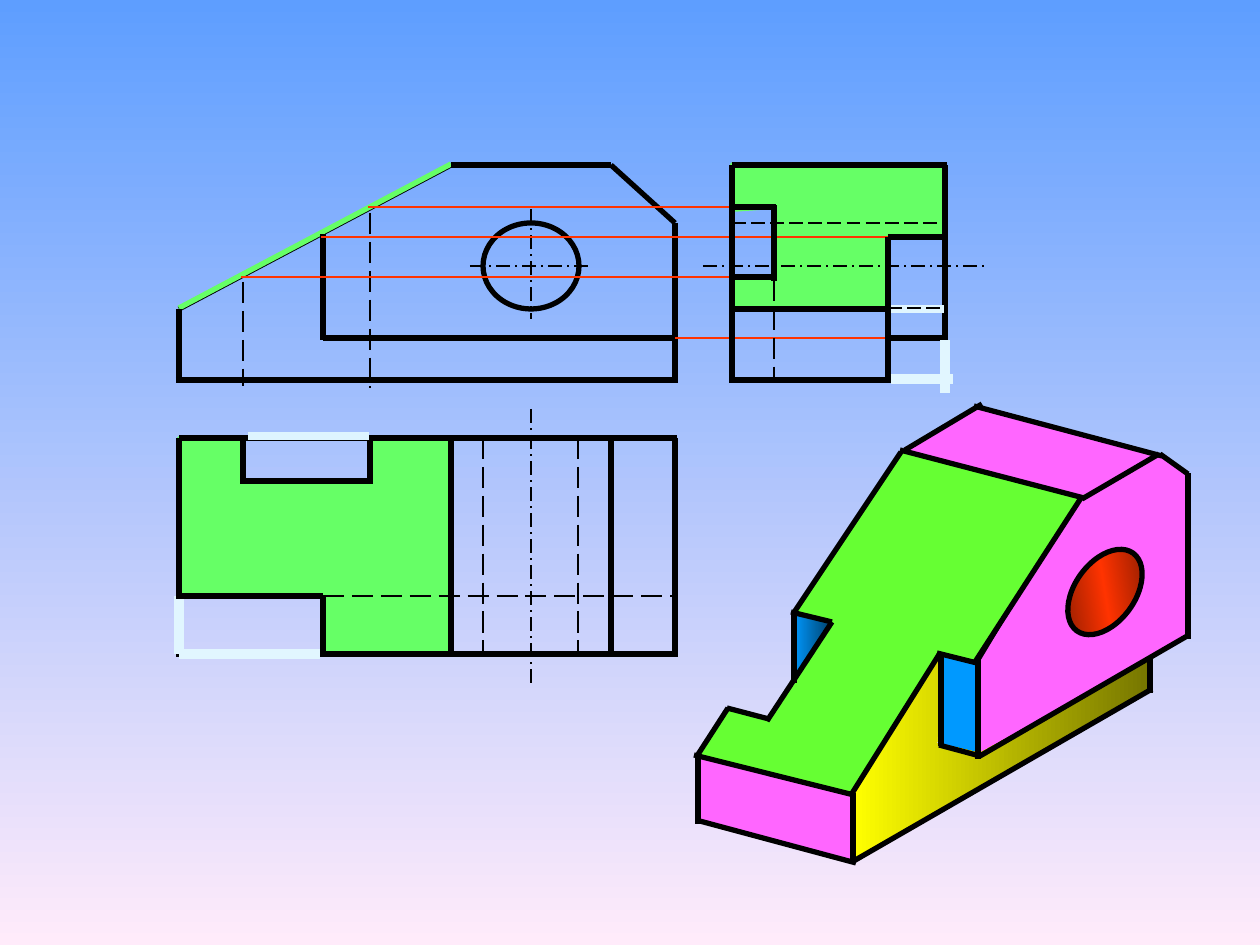
from copy import deepcopy
from dataclasses import dataclass
from typing import Optional

from lxml.etree import SubElement
from pptx import Presentation
from pptx.dml.color import RGBColor
from pptx.enum.dml import MSO_LINE_DASH_STYLE as Dash
from pptx.enum.shapes import MSO_CONNECTOR as Connector, MSO_SHAPE as Shape
from pptx.oxml.ns import qn
from pptx.util import Emu, Pt

SCALE = 914400 / 126


@dataclass(frozen=True)
class Stroke:
    color: str
    width: float
    dash: Optional[Dash] = None


class Theme:
    sky = ("5E9EFF", "FFEBFA")
    cut = "66FF66"
    slope = "66FF33"
    pink = "FF66FF"
    blue = "0099FF"
    notch = ("0099FF", "004776")
    side = ("FFFF00", "767600")
    hole = ("761800", "FF3300", "761800")

    edge = Stroke("000000", 3)
    thin = Stroke("000000", 1)
    hidden = Stroke("000000", 1.5, Dash.LONG_DASH)
    fine_hidden = Stroke("000000", 1, Dash.LONG_DASH)
    axis = Stroke("000000", 1, Dash.LONG_DASH_DOT)
    projection = Stroke("FF3300", 0.75)
    cut_edge = Stroke("66FF66", 3)
    cut_border = Stroke("66FF66", 2.25)
    removed = Stroke("E1F6FF", 6)
    fine_removed = Stroke("E1F6FF", 4.5)
    opening = Stroke("DDF4FF", 4.5)


class Drawing:
    def __init__(self, slide, theme):
        self.slide = slide
        self.theme = theme

    def px(self, length):
        return Emu(round(length * SCALE))

    def paint(self, fill, colors, angle=0):
        if colors is None:
            fill.background()
        elif isinstance(colors, str):
            fill.solid()
            fill.fore_color.rgb = RGBColor.from_string(colors)
        else:
            fill.gradient()
            fill.gradient_angle = angle
            last = fill.gradient_stops[-1]._gs
            for _ in colors[2:]:
                last.addnext(deepcopy(last))
            for index, color in enumerate(colors):
                stop = fill.gradient_stops[index]
                stop.position = index / (len(colors) - 1)
                stop.color.rgb = RGBColor.from_string(color)

    def stroke(self, line, stroke):
        if stroke is None:
            line.fill.background()
            return
        line.color.rgb = RGBColor.from_string(stroke.color)
        line.width = Pt(stroke.width)
        if stroke.dash is not None:
            line.dash_style = stroke.dash

    def background(self, colors):
        self.paint(self.slide.background.fill, colors, 270)

    def lines(self, stroke, *segments):
        for segment in segments:
            connector = self.slide.shapes.add_connector(
                Connector.STRAIGHT, *map(self.px, segment))
            self.stroke(connector.line, stroke)
            SubElement(connector._element.spPr, qn("a:effectLst"))

    def face(self, points, colors, stroke=None):
        builder = self.slide.shapes.build_freeform(*points[0], scale=SCALE)
        builder.add_line_segments(points[1:], close=True)
        shape = builder.convert_to_shape()
        shape.shadow.inherit = False
        self.paint(shape.fill, colors)
        self.stroke(shape.line, stroke)

    def ellipse(self, left, top, width, height, colors=None, rotation=0):
        shape = self.slide.shapes.add_shape(
            Shape.OVAL, *map(self.px, (left, top, width, height)))
        shape.shadow.inherit = False
        shape.rotation = rotation
        self.paint(shape.fill, colors, 45)
        self.stroke(shape.line, self.theme.edge)


def draw_front_view(drawing):
    theme = drawing.theme
    drawing.lines(theme.edge, (179, 309, 451, 165))
    drawing.lines(theme.cut_edge, (179, 308, 451, 164))
    drawing.lines(
        theme.edge,
        (176, 380, 678, 380), (179, 380, 179, 309), (451, 165, 611, 165),
        (611, 165, 675, 223), (675, 223, 675, 380),
        (323, 234, 323, 340), (323, 338, 675, 338))
    drawing.ellipse(483, 223, 96, 86)
    drawing.lines(theme.axis, (531, 209, 531, 319), (470, 266, 591, 266))
    drawing.lines(theme.hidden, (370, 213, 370, 388), (243, 282, 243, 386))


def draw_top_view(drawing):
    theme = drawing.theme
    drawing.face(
        [(179, 438), (179, 596), (323, 596), (323, 655), (451, 652),
         (448, 438), (370, 438), (370, 481), (243, 481), (243, 438)],
        theme.cut, theme.cut_border)
    drawing.lines(
        theme.edge,
        (179, 438, 677, 438), (179, 438, 179, 596), (176, 654, 677, 654),
        (675, 438, 675, 657), (611, 438, 611, 654), (451, 438, 451, 654),
        (243, 437, 243, 484), (370, 436, 370, 484), (243, 481, 370, 481))
    drawing.lines(theme.axis, (531, 409, 531, 683))
    drawing.lines(
        theme.hidden,
        (578, 438, 578, 654), (483, 438, 483, 654), (323, 596, 675, 596))
    drawing.lines(theme.opening, (248, 436, 369, 436))
    drawing.lines(theme.edge, (323, 595, 323, 657))
    drawing.lines(theme.removed, (179, 596, 179, 654), (179, 654, 320, 654))
    drawing.lines(theme.edge, (323, 596, 176, 596))


def draw_side_view(drawing):
    theme = drawing.theme
    drawing.face(
        [(732, 164), (943, 164), (943, 238), (887, 238), (887, 309),
         (732, 309), (732, 277), (775, 280), (775, 207), (732, 210)],
        theme.cut, theme.cut_border)
    drawing.lines(
        theme.projection,
        (368, 207, 773, 207), (241, 277, 775, 277),
        (321, 237, 944, 237), (675, 338, 944, 338))
    drawing.lines(
        theme.edge,
        (776, 277, 732, 277), (774, 281, 774, 205), (776, 207, 732, 207),
        (888, 237, 944, 237), (888, 338, 944, 338), (732, 383, 732, 165),
        (732, 165, 947, 165), (732, 380, 946, 380), (945, 382, 945, 165),
        (732, 309, 944, 309))
    drawing.lines(theme.hidden, (774, 280, 774, 380))
    drawing.lines(theme.fine_hidden, (732, 223, 944, 223))
    drawing.lines(theme.axis, (703, 266, 987, 266))
    drawing.lines(theme.fine_removed, (888, 309, 944, 309))
    drawing.lines(theme.fine_hidden, (888, 308, 944, 308))
    drawing.lines(theme.edge, (888, 380, 888, 237))
    drawing.lines(theme.removed, (891, 379, 953, 379), (945, 340, 945, 393))


def draw_solid(drawing):
    theme = drawing.theme
    drawing.face(
        [(1158, 454), (1187, 474), (1187, 636), (979, 755), (978, 663),
         (1077, 498)], theme.pink, theme.thin)
    drawing.face(
        [(905, 451), (978, 408), (1155, 455), (1085, 496), (942, 459)], theme.pink)
    drawing.face([(941, 654), (941, 743), (978, 753), (978, 660)], theme.blue)
    drawing.face([(793, 614), (829, 622), (793, 682)], theme.notch)
    drawing.face([(699, 755), (699, 822), (852, 861), (852, 794)], theme.pink)
    drawing.face(
        [(853, 795), (853, 861), (1148, 693), (1150, 659), (980, 753),
         (937, 743), (941, 656)], theme.side)
    drawing.face(
        [(901, 451), (1085, 500), (1084, 494), (974, 664), (939, 654),
         (852, 793), (697, 756), (728, 708), (770, 719), (832, 624),
         (794, 615)], theme.slope)
    drawing.lines(
        theme.edge,
        (698, 756, 698, 824), (853, 793, 853, 863), (794, 612, 794, 683),
        (941, 653, 941, 746), (978, 659, 978, 759), (1188, 473, 1188, 639),
        (694, 755, 854, 795), (696, 820, 856, 863), (900, 450, 1084, 498),
        (1082, 499, 1159, 454), (974, 406, 1162, 456), (791, 612, 832, 622),
        (937, 653, 977, 663), (939, 745, 980, 756), (980, 756, 1189, 635),
        (1150, 659, 1150, 693), (1152, 689, 852, 862), (905, 450, 982, 404),
        (1160, 454, 1188, 474), (1081, 498, 975, 662), (901, 452, 793, 614),
        (832, 622, 767, 721), (769, 719, 727, 708), (728, 708, 697, 756),
        (940, 653, 851, 795))
    drawing.ellipse(1075, 544, 60, 96, theme.hole, 35.9)


def main():
    presentation = Presentation()
    presentation.slide_width = Emu(round(1260 * SCALE))
    presentation.slide_height = Emu(round(945 * SCALE))
    slide = presentation.slides.add_slide(presentation.slide_layouts[6])
    drawing = Drawing(slide, Theme())
    drawing.background(Theme.sky)
    draw_front_view(drawing)
    draw_top_view(drawing)
    draw_side_view(drawing)
    draw_solid(drawing)
    presentation.save("out.pptx")


if __name__ == "__main__":
    main()
